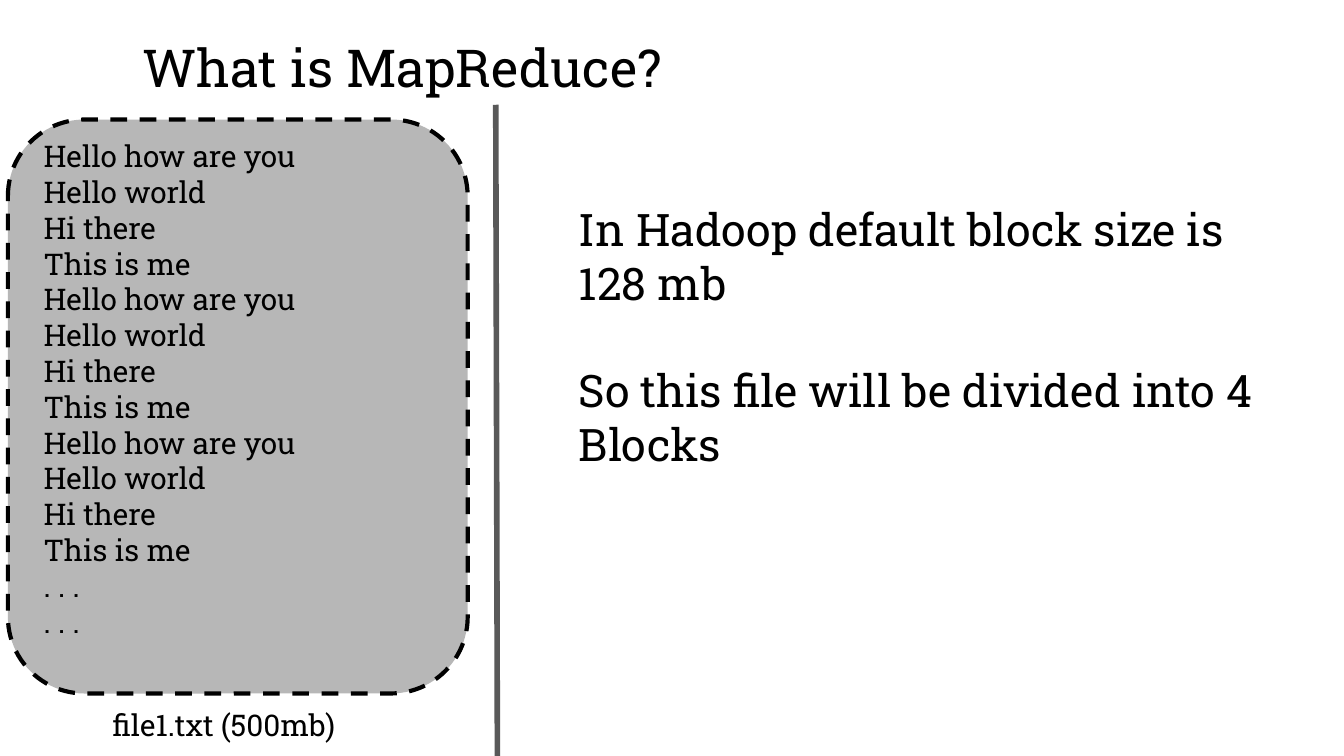
from lxml.etree import SubElement
from pptx import Presentation
from pptx.dml.color import RGBColor
from pptx.enum.dml import MSO_LINE
from pptx.enum.shapes import MSO_CONNECTOR, MSO_SHAPE
from pptx.enum.text import MSO_ANCHOR, MSO_AUTO_SIZE, PP_ALIGN
from pptx.oxml.ns import qn
from pptx.util import Cm, Pt

BLACK = RGBColor(0x00, 0x00, 0x00)
GRAY = RGBColor(0xB7, 0xB7, 0xB7)
DARK_GRAY = RGBColor(0x59, 0x59, 0x59)
FONT = "Roboto Slab"
INSET = Cm(0.25)
LINES = ["Hello how are you", "Hello world", "Hi there", "This is me"] * 3 + [". . ."] * 2
NOTES = ["In Hadoop default block size is 128 mb",
         "So this file will be divided into 4 Blocks"]


def set_all(obj, values):
    for name, value in values.items():
        setattr(obj, name, value)


def fill_text(sp, lines, size, gap=0, **frame):
    tf = sp.text_frame
    set_all(tf, {"word_wrap": True, "auto_size": MSO_AUTO_SIZE.NONE,
                 "vertical_anchor": MSO_ANCHOR.TOP,
                 "margin_left": INSET, "margin_right": INSET,
                 "margin_top": INSET, "margin_bottom": INSET, **frame})
    for i, line in enumerate(lines):
        p = tf.paragraphs[0] if i == 0 else tf.add_paragraph()
        set_all(p, {"alignment": PP_ALIGN.LEFT, "space_before": Pt(gap if i else 0)})
        r = p.add_run()
        r.text = line
        set_all(r.font, {"name": FONT, "size": Pt(size)})
        r.font.color.rgb = BLACK


def add_title(s, text, box):
    sp = s.shapes.title
    set_all(sp, dict(zip(("left", "top", "width", "height"), box)))
    fill_text(sp, [text], 28)


def add_text(s, lines, box, size, gap=0):
    fill_text(s.shapes.add_textbox(*box), lines, size, gap)


def add_file(s, lines, box):
    sp = s.shapes.add_shape(MSO_SHAPE.ROUNDED_RECTANGLE, *box)
    sp.shadow.inherit = False
    sp.fill.solid()
    sp.fill.fore_color.rgb = GRAY
    sp.line.color.rgb = BLACK
    set_all(sp.line, {"width": Pt(2.25), "dash_style": MSO_LINE.DASH})
    fill_text(sp, lines, 16, vertical_anchor=MSO_ANCHOR.MIDDLE, margin_bottom=Cm(0.93))


def add_divider(s, *ends):
    line = s.shapes.add_connector(MSO_CONNECTOR.STRAIGHT, *ends)
    line.line.color.rgb = DARK_GRAY
    line.line.width = Pt(3)
    SubElement(line._element.spPr, qn("a:effectLst"))


def main():
    prs = Presentation()
    set_all(prs, {"slide_width": Cm(25.4), "slide_height": Cm(14.29)})
    s = prs.slides.add_slide(prs.slide_layouts[5])
    add_divider(s, Cm(9.37), Cm(1.98), Cm(9.4), Cm(14.29))
    add_title(s, "What is MapReduce?", (Cm(2.44), Cm(0.41), Cm(11.73), Cm(1.7)))
    add_text(s, NOTES, (Cm(10.69), Cm(3.56), Cm(13.39), Cm(5.64)), 24, 28.7)
    add_file(s, LINES, (Cm(0.15), Cm(2.26), Cm(8.69), Cm(10.85)))
    add_text(s, ["file1.txt (500mb)"], (Cm(1.88), Cm(13.11), Cm(5.23), Cm(1.19)), 16)
    prs.save("out.pptx")


if __name__ == "__main__":
    main()
